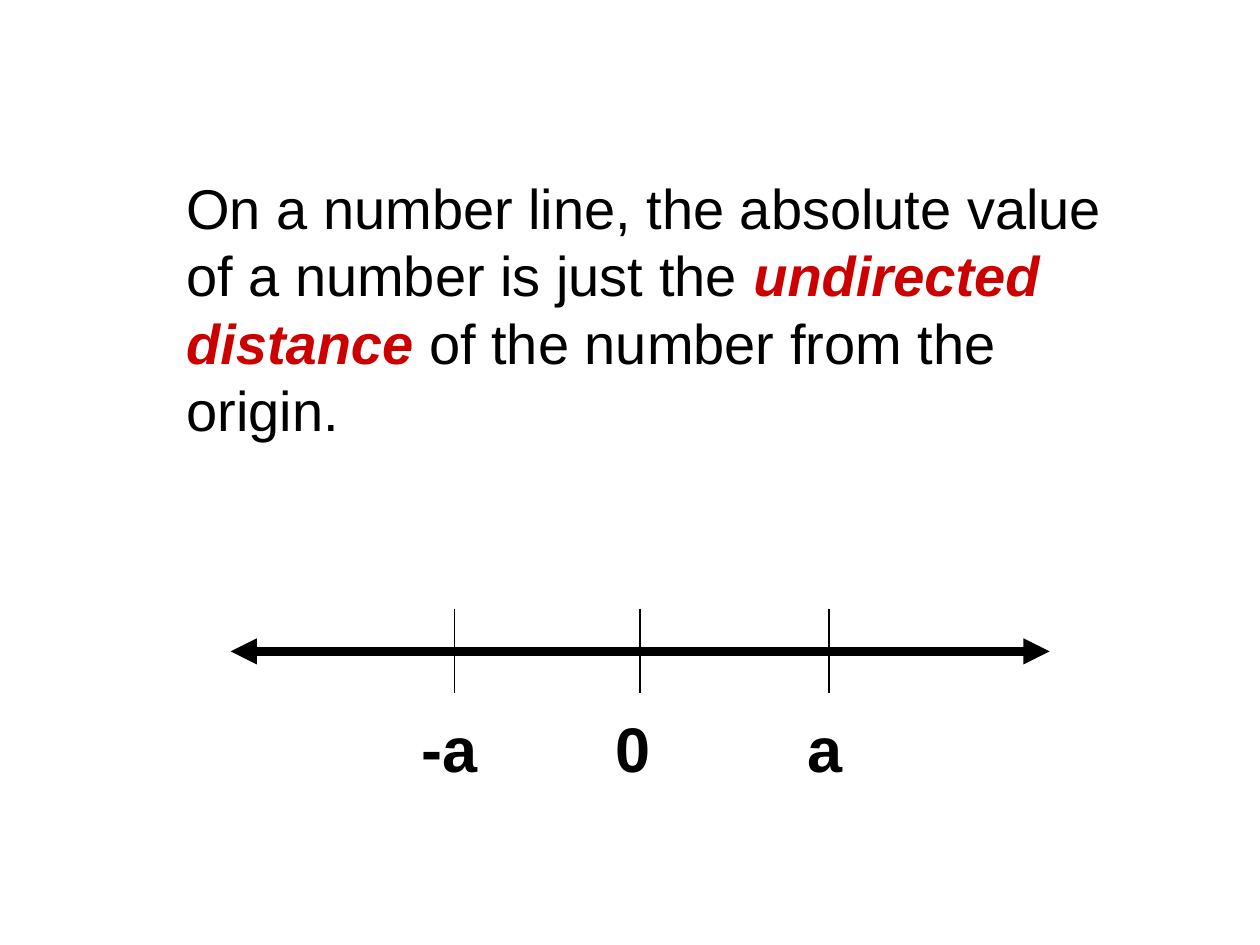
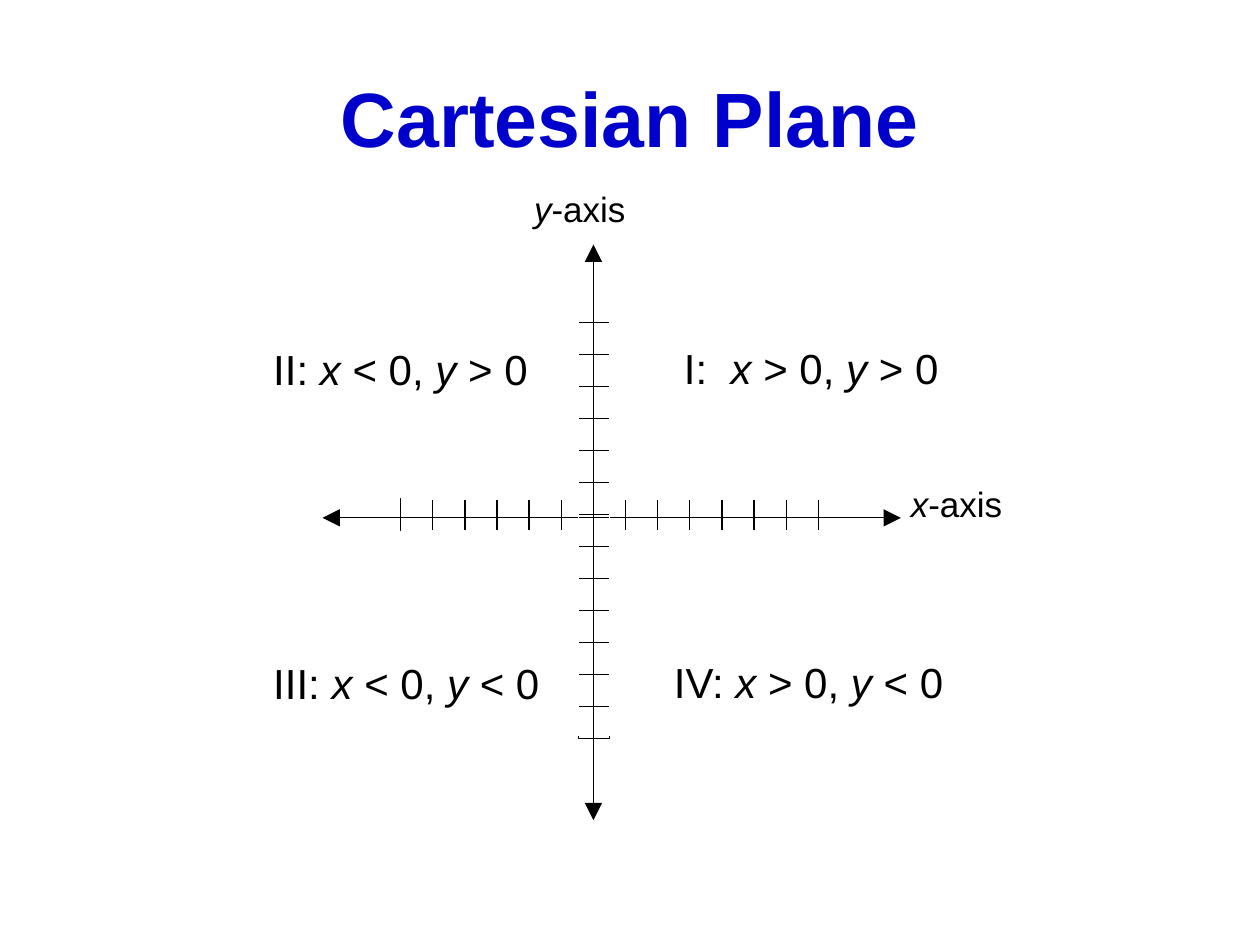
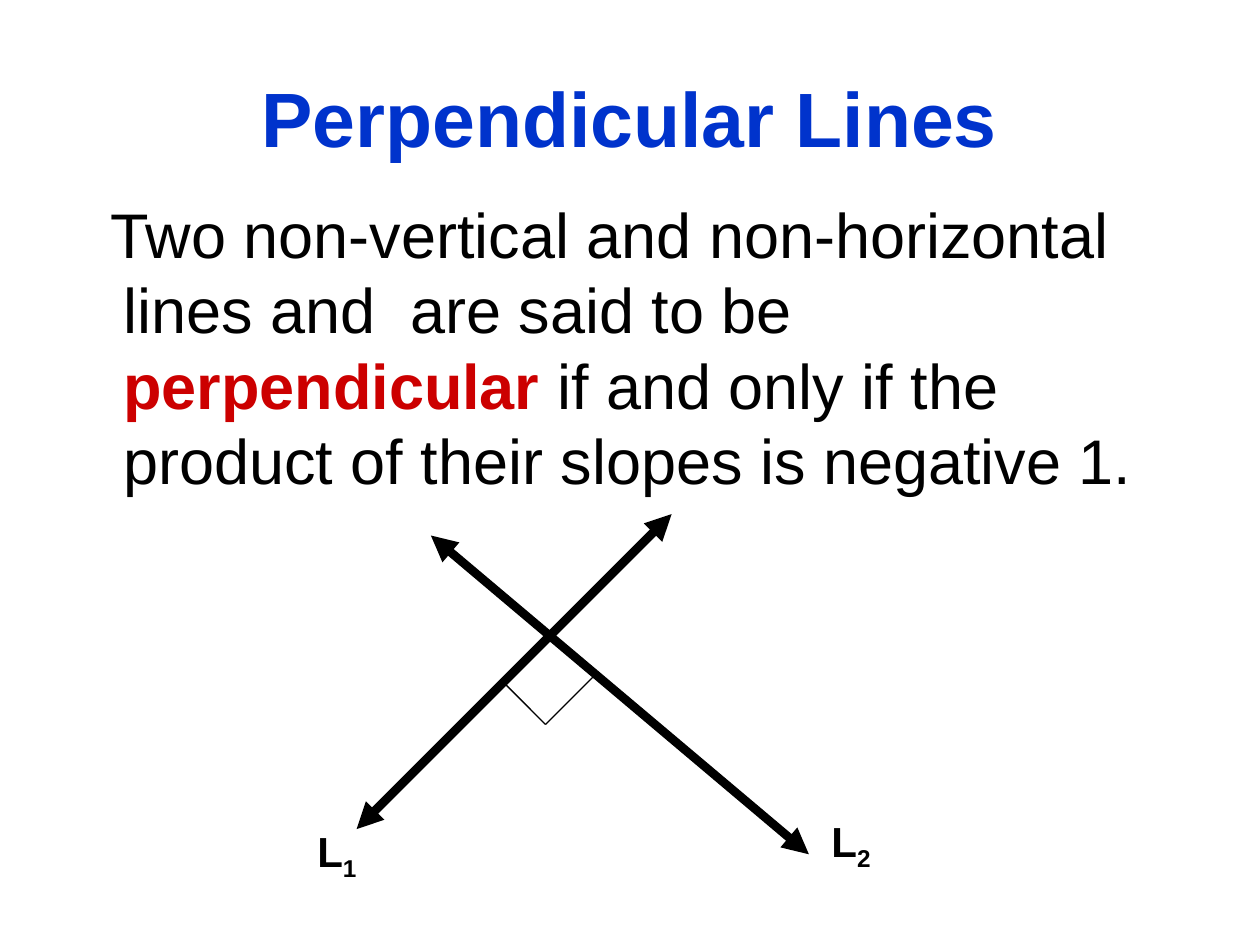
from lxml import etree
from pptx import Presentation
from pptx.dml.color import RGBColor
from pptx.enum.shapes import MSO_CONNECTOR, MSO_SHAPE
from pptx.enum.text import MSO_ANCHOR, PP_ALIGN
from pptx.oxml.ns import qn
from pptx.util import Inches, Pt

STRAIGHT = MSO_CONNECTOR.STRAIGHT
RECT = MSO_SHAPE.RECTANGLE
MIDDLE = MSO_ANCHOR.MIDDLE
CENTER = PP_ALIGN.CENTER

FONT = "Arial"
COLORS = {
    "ink": "000000",
    "paper": "FFFFFF",
    "key": "CC0000",
    "navy": "0000CC",
    "blue": "0033CC",
}
THIN, THICK = 0.75, 5

# Run styles
ITALIC = {"italic": True}
KEY = {"color": "key", "bold": True}
KEY_ITALIC = {**KEY, **ITALIC}
SUB = {"base": -25000}


def rgb(name):
    return RGBColor.from_string(COLORS[name])


def add_text(slide, box, runs, size, color="ink", bold=False, before=0,
             left=0, first=0):
    """Add one paragraph of (text, style) runs; return its frame."""
    frame = slide.shapes.add_textbox(*map(Inches, box)).text_frame
    frame.word_wrap = True
    para = frame.paragraphs[0]
    para.space_before = Pt(before)
    font = para.font
    font.name, font.size, font.bold = FONT, Pt(size), bold
    font.color.rgb = rgb(color)

    # Indents
    props = para._p.get_or_add_pPr()
    props.set("marL", str(Inches(left)))
    props.set("indent", str(Inches(first)))

    for words, style in runs:
        run = para.add_run()
        run.text = words
        if "color" in style:
            run.font.color.rgb = rgb(style["color"])
        if "bold" in style:
            run.font.bold = style["bold"]
        if "italic" in style:
            run.font.italic = style["italic"]
        if "base" in style:
            run._r.get_or_add_rPr().set("baseline", str(style["base"]))
    return frame


def add_title(slide, words, color):
    frame = add_text(slide, (0.5, 0.3, 9, 1.25), [(words, {})], 44, color, True)
    frame.vertical_anchor = MIDDLE
    frame.paragraphs[0].alignment = CENTER


def add_line(slide, start, end, width=THIN, color="ink", head=None):
    """Add a line; head is the size of the arrowheads at both ends."""
    line = slide.shapes.add_connector(STRAIGHT, *map(Inches, start + end))
    line.line.color.rgb = rgb(color)
    line.line.width = Pt(width)
    if head:
        stroke = line.line._get_or_add_ln()
        for tag in ("a:headEnd", "a:tailEnd"):
            etree.SubElement(stroke, qn(tag), type="triangle", w=head, len=head)
    etree.SubElement(line._element.spPr, qn("a:effectLst"))


def add_cell(slide, *box):
    cell = slide.shapes.add_shape(RECT, *map(Inches, box))
    cell.shadow.inherit = False
    cell.fill.background()
    cell.line.color.rgb = rgb("ink")
    cell.line.width = Pt(THIN)


def add_sign(slide, box, name, x_sign, y_sign):
    """Label a quadrant with the signs of x and y."""
    runs = [(name, {}), ("x ", ITALIC), (f"{x_sign} 0, ", {}),
            ("y ", ITALIC), (f"{y_sign} 0", {})]
    add_text(slide, box, runs, 24)


def number_line(slide):
    add_text(slide, (1, 1.33, 8, 2.83), [
        ("On a number line, the absolute value of a number is just the ", {}),
        ("undirected distance", KEY_ITALIC),
        (" of the number from the origin.", {}),
    ], 32, before=8, left=0.38)

    # Line, marks and their names
    add_line(slide, (1.83, 5.17), (8.33, 5.17), THICK, head="med")
    for x, name, left in ((3.61, "-a", 3.25), (5.08, "0", 4.79),
                          (6.58, "a", 6.31)):
        add_line(slide, (x, 4.83), (x, 5.5))
        add_text(slide, (left, 5.58, 0.8, 0.7), [(name, {})], 36,
                 bold=True, before=22.5)


def plane(slide):
    add_title(slide, "Cartesian Plane", "navy")

    # Quadrants
    add_sign(slide, (5.33, 2.67, 2.55, 0.76), "I:  ", ">", ">")
    add_sign(slide, (2.07, 5.17, 2.85, 0.76), "III: ", "<", "<")
    add_sign(slide, (5.25, 5.16, 3.08, 0.76), "IV: ", ">", "<")
    add_sign(slide, (2.07, 2.68, 2.78, 0.76), "II: ", "<", ">")

    # Scale of x: a row of cells with its long edges blanked
    count, step, size = 13, 0.255, 0.25
    for i in range(count):
        add_cell(slide, 3.18 + i * step, 3.96, step, size)
    for y in (3.96, 4.21):
        add_line(slide, (3.18, y), (6.5, y), color="paper")

    # Axes and their names
    add_line(slide, (2.56, 4.11), (7.15, 4.11), head="lg")
    add_text(slide, (6.9, 3.78, 1.79, 0.76),
             [("x", ITALIC), ("-axis", {})], 20, left=0.23)
    add_text(slide, (4.11, 1.44, 1.79, 1.27),
             [("y", ITALIC), ("-axis", {})], 20, left=0.03)
    add_line(slide, (4.71, 1.94), (4.71, 6.51), head="lg")

    # Scale of y: a column built the same way
    rise = 3.3 / count
    for i in range(count):
        add_cell(slide, 4.59, 2.56 + i * rise, size, rise)
    for x in (4.59, 4.84):
        add_line(slide, (x, 2.54), (x, 5.84), color="paper")


def right_angle(slide):
    add_title(slide, "Perpendicular Lines", "blue")
    add_text(slide, (0.5, 1.5, 9.25, 2.67), [
        ("Two non-vertical and non-horizontal lines and  are said to be ", {}),
        ("perpendicular", KEY),
        (" if and only if the product of their slopes is negative 1.", {}),
    ], 36, before=9, left=0.38, first=-0.1)

    # Crossing lines and their names
    add_line(slide, (5.33, 4.08), (2.83, 6.58), THICK, head="med")
    add_line(slide, (3.42, 4.25), (6.42, 6.78), THICK, head="med")
    for digit, box in (("1", (2.42, 6.5, 0.67, 0.56)),
                       ("2", (6.5, 6.42, 0.91, 0.56))):
        add_text(slide, box, [("L", {}), (digit, SUB)], 24, bold=True, before=15)

    # Square corner mark
    corner = (4.33, 5.75)
    add_line(slide, (4, 5.42), corner)
    add_line(slide, corner, (4.75, 5.33))


def main():
    deck = Presentation()
    deck.slide_width, deck.slide_height = Inches(10), Inches(7.5)
    blank = deck.slide_layouts[6]
    for build in (number_line, plane, right_angle):
        build(deck.slides.add_slide(blank))
    deck.save("out.pptx")


if __name__ == "__main__":
    main()
